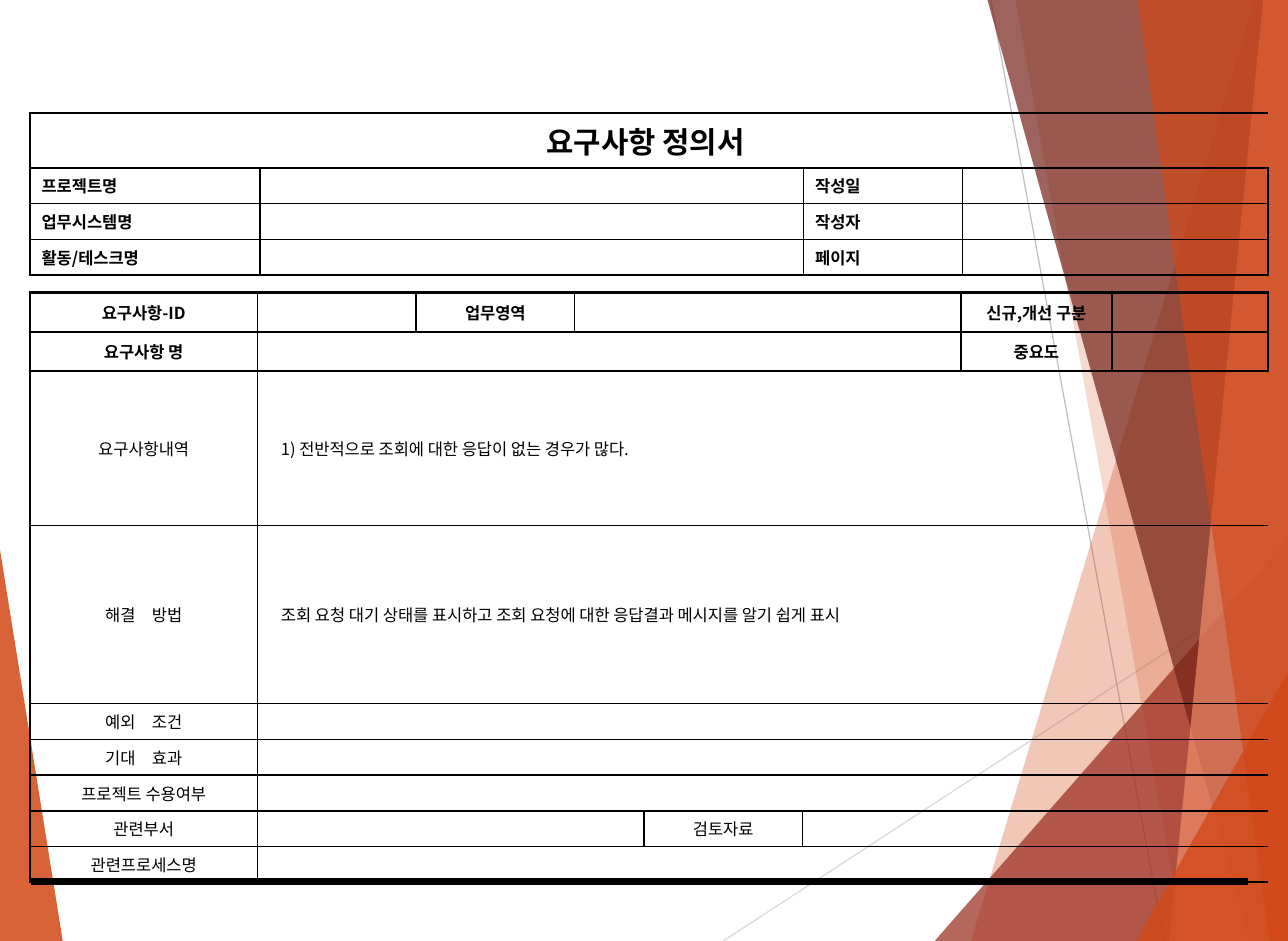
"""Builds a requirements definition form over a background of coloured shards."""
from lxml.etree import SubElement
from pptx import Presentation
from pptx.dml.color import RGBColor
from pptx.enum.shapes import MSO_CONNECTOR
from pptx.enum.text import MSO_ANCHOR, PP_ALIGN
from pptx.oxml.ns import qn
from pptx.util import Pt

LINE = MSO_CONNECTOR.STRAIGHT
MIDDLE = MSO_ANCHOR.MIDDLE
LEFT, CENTER = PP_ALIGN.LEFT, PP_ALIGN.CENTER
WIDE, HIGH = 780, 570
PLAIN = "{2D5ABB26-0587-4C30-8999-92F81FD0307C}"

TITLE = {"size": Pt(18), "bold": True}
HEAD = {"size": Pt(10), "bold": True}
BODY = {"size": Pt(10), "bold": False}

SHARDS = [
    ("D34817", 85, [(0, 333), (38, HIGH), (0, HIGH)]),
    ("D34817", 30, [(760, 0), (588, HIGH), (WIDE, HIGH), (WIDE, 0)]),
    ("D34817", 20, [(615, 0), (717, HIGH), (WIDE, HIGH), (WIDE, 0)]),
    ("9B2D1F", 72, [(566, HIGH), (WIDE, 326), (WIDE, HIGH)]),
    ("742217", 70, [(598, 0), (757, HIGH), (WIDE, HIGH), (WIDE, 0)]),
    ("EF8C6A", 70, [(765, 0), (708, HIGH), (WIDE, HIGH), (WIDE, 0)]),
    ("D34817", 65, [(689, 0), (769, HIGH), (WIDE, HIGH), (WIDE, 0)]),
    ("D34817", 80, [(688, HIGH), (WIDE, 407), (WIDE, HIGH)]),
]

INFO = [
    (33.2, TITLE, CENTER, {0: "요구사항 정의서 "}),
    (21.6, HEAD, LEFT, {0: "프로젝트명", 1: "", 2: "작성일", 3: ""}),
    (21.6, HEAD, LEFT, {0: "업무시스템명", 1: "", 2: "작성자", 3: ""}),
    (21.6, HEAD, LEFT, {0: "활동/테스크명", 1: "", 2: "페이지", 3: ""}),
]

NEEDS = [
    (23.8, HEAD, CENTER, {0: "요구사항-ID", 1: "", 2: "업무영역", 3: "",
                          6: "신규,개선 구분", 7: ""}),
    (23.8, HEAD, CENTER, {0: "요구사항 명", 1: "", 6: "중요도", 7: ""}),
    (93.5, BODY, CENTER, {0: "요구사항내역",
                          1: "1) 전반적으로 조회에 대한 응답이 없는 경우가 많다."}),
    (108, BODY, CENTER, {0: "해결　방법",
                         1: "조회 요청 대기 상태를 표시하고 조회 요청에 대한 "
                            "응답결과 메시지를 알기 쉽게 표시"}),
    (21.6, BODY, CENTER, {0: "예외　조건", 1: ""}),
    (21.6, BODY, CENTER, {0: "기대　효과", 1: ""}),
    (21.6, BODY, CENTER, {0: "프로젝트 수용여부", 1: ""}),
    (21.6, BODY, CENTER, {0: "관련부서", 1: "", 4: "검토자료", 5: ""}),
    (21.6, BODY, CENTER, {0: "관련프로세스명", 1: ""}),
]


def shade(code):
    return RGBColor.from_string(code)


class Form:
    """Holds the style and the current slide."""

    font = "Noto Sans CJK KR"
    ink = "000000"

    def __init__(self, slide):
        self.slide = slide

    def shard(self, color, alpha, points):
        spots = [(Pt(x), Pt(y)) for x, y in points]
        pen = self.slide.shapes.build_freeform(*spots[0], scale=1.0)
        pen.add_line_segments(spots[1:], close=True)
        shape = pen.convert_to_shape()
        shape.shadow.inherit = False
        shape.fill.solid()
        shape.fill.fore_color.rgb = shade(color)
        tint = shape._element.spPr.find(".//" + qn("a:srgbClr"))
        SubElement(tint, qn("a:alpha"), val=str(alpha * 1000))
        shape.line.fill.background()

    def line(self, start, end, color, width):
        ends = [Pt(v) for v in start + end]
        rule = self.slide.shapes.add_connector(LINE, *ends)
        rule.line.color.rgb = shade(color)
        rule.line.width = Pt(width)
        SubElement(rule._element.spPr, qn("a:effectLst"))

    def edge(self, cell, side, width):
        props = cell._tc.get_or_add_tcPr()
        line = SubElement(props, qn("a:ln" + side), w=str(Pt(width)))
        fill = SubElement(line, qn("a:solidFill"))
        SubElement(fill, qn("a:srgbClr"), val=self.ink)

    def label(self, cell, text, style, align, indent):
        cell.vertical_anchor = MIDDLE
        cell.margin_left = Pt(7.2 + indent)
        para = cell.text_frame.paragraphs[0]
        para.alignment = align
        if not text:
            para._p.get_or_add_endParaRPr().set("sz", "1000")
            return
        run = para.add_run()
        run.text = text
        for name, value in {**style, "name": self.font}.items():
            setattr(run.font, name, value)
        run.font.color.rgb = shade(self.ink)
        SubElement(run._r.get_or_add_rPr(), qn("a:ea"), typeface=self.font)

    def table(self, left, top, cols, rows, heavy, indent=0):
        size = len(rows), len(cols)
        highs = [row[0] for row in rows]
        box = [Pt(v) for v in (left, top, sum(cols), sum(highs))]
        grid = self.slide.shapes.add_table(*size, *box).table
        grid.first_row = grid.horz_banding = False
        grid._tbl.tblPr.find(qn("a:tableStyleId")).text = PLAIN
        for col, width in zip(grid.columns, cols):
            col.width = Pt(width)
        for r, (high, style, align, cells) in enumerate(rows):
            grid.rows[r].height = Pt(high)
            stops = [*cells, len(cols)]
            for first, end in zip(stops, stops[1:]):
                for c in range(first, end):
                    cell = grid.cell(r, c)
                    if c == first:
                        self.edge(cell, "L", 1 if c else 1.5)
                    if c == end - 1:
                        self.edge(cell, "R", 1 if end < len(cols) else 1.5)
                    self.edge(cell, "T", 1.5 if r in heavy else 1)
                    self.edge(cell, "B", 1.5 if r + 1 in heavy else 1)
                    cell.fill.background()
                head = grid.cell(r, first)
                if end - first > 1:
                    head.merge(grid.cell(r, end - 1))
                long = first == 1 and cells[first]
                self.label(head, cells[first], style,
                           LEFT if long else align, indent if long else 0)


def main():
    deck = Presentation()
    deck.slide_width, deck.slide_height = Pt(WIDE), Pt(HIGH)
    form = Form(deck.slides.add_slide(deck.slide_layouts[6]))
    form.shard(*SHARDS[0])
    form.line((438, HIGH), (WIDE, 347), "D9D9D9", 0.75)
    form.line((600, 0), (705, HIGH), "BFBFBF", 0.75)
    for shard in SHARDS[1:]:
        form.shard(*shard)
    form.line((19, 534), (756, 534), form.ink, 4.5)
    form.table(18, 68.4, [139.5, 329, 96.5, 185], INFO, {0, 4})
    form.table(18, 177.2, [138, 96, 96, 42, 96, 96, 91.5, 94.5], NEEDS,
               {0, 1, 2, 9}, indent=7)
    deck.save("out.pptx")


if __name__ == "__main__":
    main()
